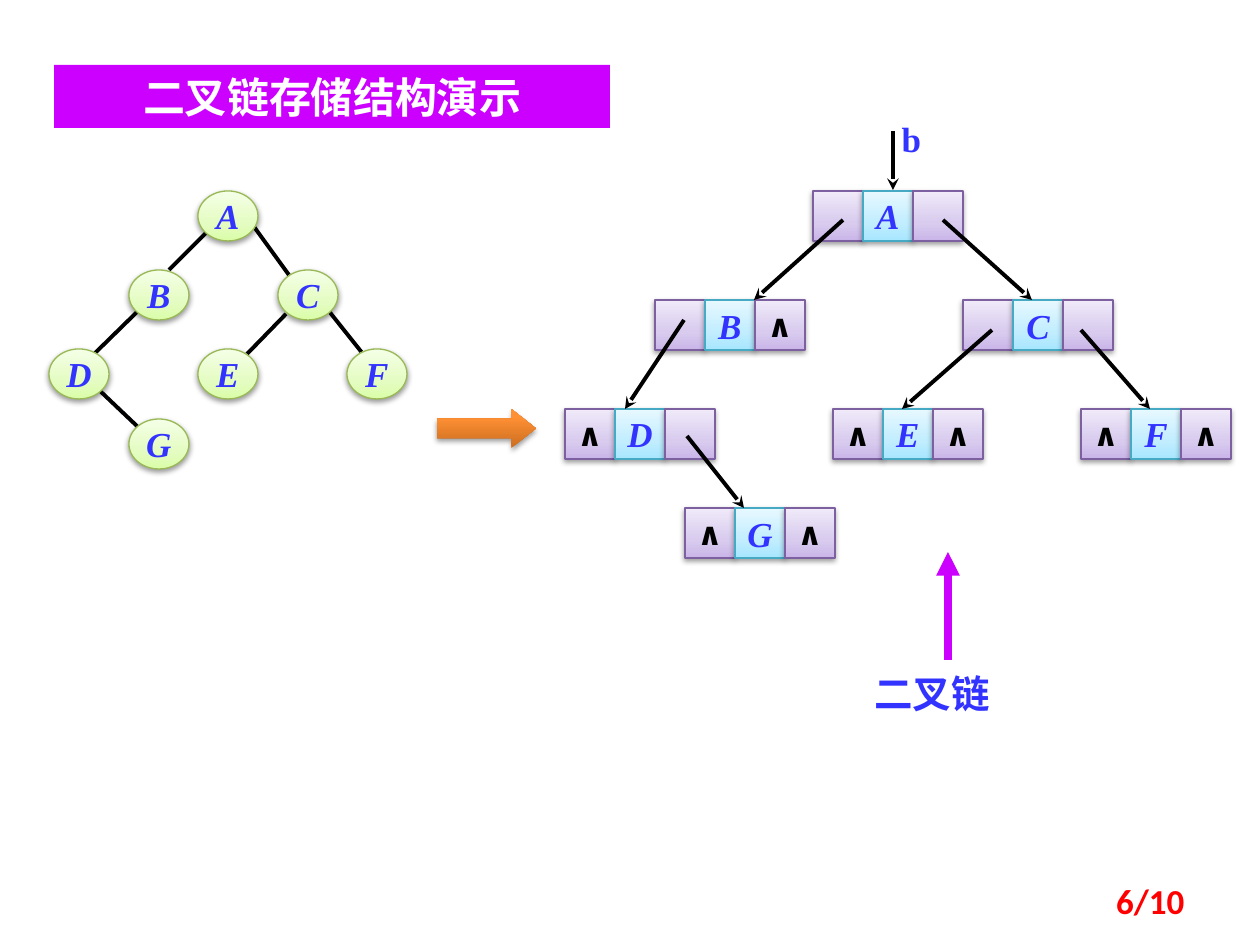
from lxml import etree
from pptx import Presentation, util as u
from pptx.dml.color import RGBColor
from pptx.enum import shapes, text
from pptx.oxml import ns

SCALE = 914400 / 126
COLORS = {"ink": "000000", "blue": "3333FF", "magenta": "CC00FF", "white": "FFFFFF",
          "red": "FF0000", "green_line": "98B955", "purple_line": "7D60A0", "cyan_line": "46AAC5"}
GRADIENTS = {
    "green": ((0, "DAFDA7"), (35, "E4FCC2"), (100, "F5FFE7")),
    "purple": ((0, "C9B5E8"), (35, "D8CBEE"), (100, "F0EAF9")),
    "cyan": ((0, "A7E6FF"), (35, "C1EDFF"), (100, "E7F8FF")),
    "orange": ((0, "CC6E20"), (80, "FF9034"), (100, "FF9136")),
}
SERIF, SANS, CJK = "Times New Roman", "Calibri", "Noto Sans CJK SC"
CELL = 50
NODE_WIDTH = 60
NIL = "∧"
TREE_NODES = {"A": (198, 191), "B": (129, 270), "C": (278, 270), "D": (49, 349),
              "E": (198, 349), "G": (129, 419), "F": (347, 349)}
TREE_EDGES = [(98, 389, 139, 428), (208, 231, 169, 270), (252, 224, 289, 275),
              (139, 310, 89, 359), (286, 314, 247, 354), (328, 310, 367, 359)]
RECORDS = [("", "A", "", 813, 191), ("", "B", NIL, 655, 300), (NIL, "D", "", 565, 409),
           (NIL, "G", NIL, 685, 508), ("", "C", "", 963, 300),
           (NIL, "E", NIL, 833, 409), (NIL, "F", NIL, 1081, 409)]
LINKS = [(843, 220, 754, 300), (684, 320, 625, 409), (943, 220, 1032, 300),
         (687, 436, 744, 508), (992, 330, 902, 409), (1081, 330, 1150, 409),
         (893, 131, 893, 190)]


def px(*values):
    return [u.Emu(round(value * SCALE)) for value in values]


def rgb(name):
    return RGBColor.from_string(COLORS[name])


def add_xml(parent, tag, **attributes):
    return etree.SubElement(parent, ns.qn(tag), attributes)


def write(shape, content, size, font, color, align=text.PP_ALIGN.CENTER,
          anchor=text.MSO_ANCHOR.MIDDLE, wrap=True, italic=False):
    frame = shape.text_frame
    frame.word_wrap = wrap
    frame.auto_size = text.MSO_AUTO_SIZE.NONE
    frame.vertical_anchor = anchor
    paragraph = frame.paragraphs[0]
    paragraph.text = content
    paragraph.alignment = align
    paragraph.font.size = u.Pt(size)
    paragraph.font.name = font
    paragraph.font.bold = True
    paragraph.font.italic = italic
    paragraph.font.color.rgb = rgb(color)
    if font == CJK:
        properties = paragraph.runs[0].font
        properties.name = font
        add_xml(paragraph.runs[0]._r.rPr, "a:ea", typeface=font)


def add_label(slide, box, *args, **options):
    write(slide.shapes.add_textbox(*px(*box)), *args, **options)


def add_gradient_shape(slide, kind, box, gradient, line=None):
    shape = slide.shapes.add_shape(kind, *px(*box))
    shape.fill.gradient()
    shape.fill.gradient_angle = 90
    properties = shape._element.spPr
    stops = properties.find(".//" + ns.qn("a:gsLst"))
    for stop in list(stops):
        stops.remove(stop)
    for position, color in GRADIENTS[gradient]:
        stop = add_xml(stops, "a:gs", pos=str(position * 1000))
        add_xml(stop, "a:srgbClr", val=color)
    if line:
        shape.line.color.rgb = rgb(line)
        shape.line.width = u.Pt(0.75)
    else:
        shape.line.fill.background()
    shape.shadow.inherit = False
    shadow = add_xml(properties.find(ns.qn("a:effectLst")), "a:outerShdw",
                     blurRad=str(u.Pt(3.1)), dist=str(u.Pt(1.6)), dir="5400000", rotWithShape="0")
    color = add_xml(shadow, "a:srgbClr", val=COLORS["ink"])
    add_xml(color, "a:alpha", val="38000")
    return shape


def add_line(slide, points, color="ink", width=2.25, arrow=None):
    line = slide.shapes.add_connector(shapes.MSO_CONNECTOR.STRAIGHT, *px(*points))
    line.line.color.rgb = rgb(color)
    line.line.width = u.Pt(width)
    if arrow:
        add_xml(line.line._get_or_add_ln(), "a:tailEnd", type=arrow)
    add_xml(line._element.spPr, "a:effectLst")


def add_tree_node(slide, name, left, top):
    node = add_gradient_shape(slide, shapes.MSO_SHAPE.OVAL, (left, top, NODE_WIDTH, CELL),
                              "green", "green_line")
    write(node, name, 20, SERIF, "blue", wrap=False, italic=True)


def add_record(slide, left_link, name, right_link, left, top):
    for column, content in enumerate((left_link, name, right_link)):
        is_data = column == 1
        tint = "cyan" if is_data else "purple"
        cell = add_gradient_shape(slide, shapes.MSO_SHAPE.RECTANGLE,
                                  (left + column * CELL, top, CELL, CELL), tint, tint + "_line")
        if is_data:
            write(cell, content, 20, SERIF, "blue", wrap=False, italic=True)
        elif content:
            write(cell, content, 18, SANS, "ink", wrap=False)


def format_title(slide):
    title = slide.shapes.title
    title.left, title.top, title.width, title.height = px(54, 65, 556, 63)
    title.fill.solid()
    title.fill.fore_color.rgb = rgb("magenta")
    write(title, "二叉链存储结构演示", 24, CJK, "white")
    frame = title.text_frame
    frame.margin_top = frame.margin_bottom = 0


def main():
    presentation = Presentation()
    presentation.slide_width, presentation.slide_height = px(1260, 945)
    slide = presentation.slides.add_slide(presentation.slide_layouts[5])
    format_title(slide)

    for edge in TREE_EDGES:
        add_line(slide, edge)
    for name, place in TREE_NODES.items():
        add_tree_node(slide, name, *place)

    arrow = add_gradient_shape(slide, shapes.MSO_SHAPE.RIGHT_ARROW, (437, 409, 99, 39), "orange")
    arrow.adjustments[1] = 0.63

    for record in RECORDS:
        add_record(slide, *record)
    for link in LINKS:
        add_line(slide, link, arrow="stealth")
    add_label(slide, (867, 111, 89, 54), "b", 20, SERIF, "blue")

    add_label(slide, (862, 664, 189, 59), "二叉链", 22, CJK, "blue",
              align=text.PP_ALIGN.LEFT, anchor=text.MSO_ANCHOR.TOP)
    add_line(slide, (948, 660, 948, 552), "magenta", 4.5, "triangle")
    add_label(slide, (903, 876, 294, 50), "6/10", 20, SANS, "red", align=text.PP_ALIGN.RIGHT)

    presentation.save("out.pptx")


if __name__ == "__main__":
    main()
